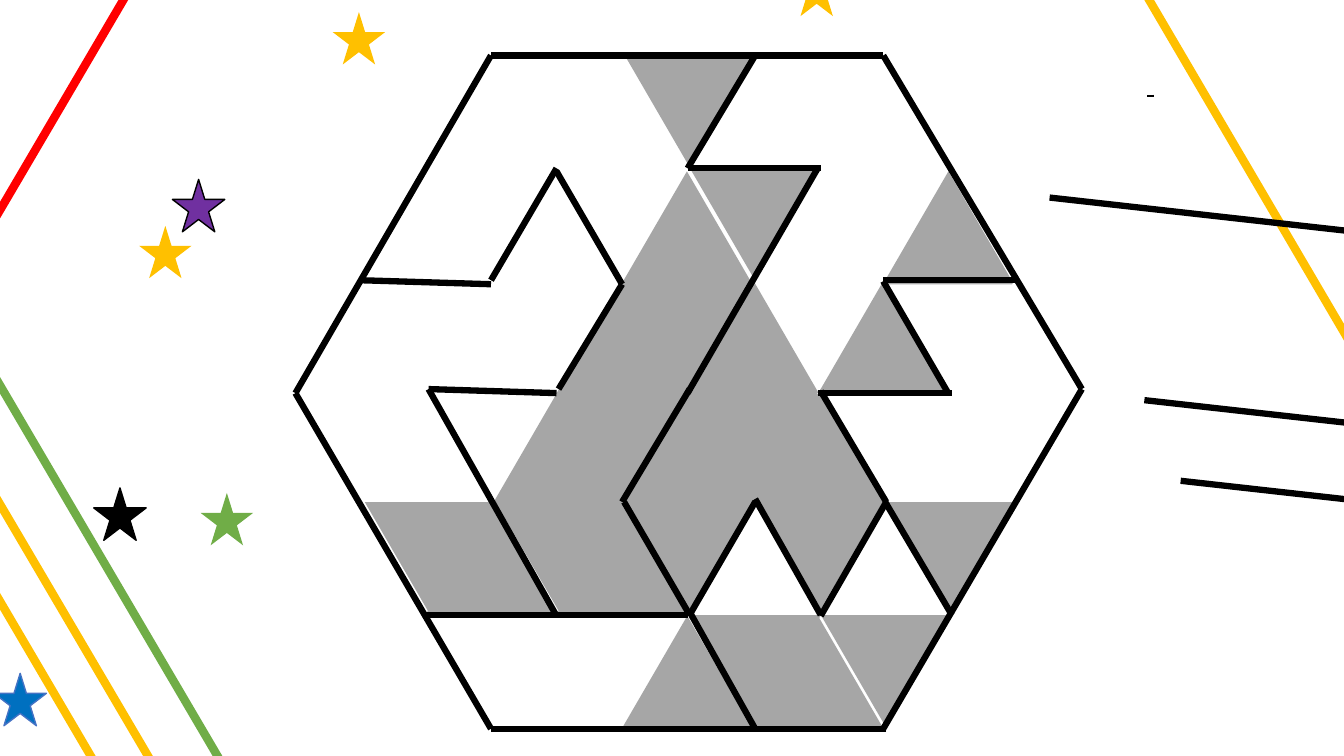
"""Draw a hexagonal triangle puzzle with stars and coloured strokes."""
from lxml.etree import SubElement
from pptx import Presentation
from pptx.dml.color import RGBColor
from pptx.enum.shapes import MSO_CONNECTOR, MSO_SHAPE
from pptx.oxml.ns import qn
from pptx.util import Inches, Pt

COLORS = {
    "black": "000000", "white": "FFFFFF", "gray": "A6A6A6", "gold": "FFC000",
    "green": "70AD47", "blue": "0070C0", "outline_blue": "4472C4",
    "red": "FF0000", "purple": "7030A0",
}
TILE_WIDTH, TILE_HEIGHT = 1.3, 1.12
TILE_PITCH = 3.89 / 3
TILE_FILLS = {"W": "white", "G": "gray"}
STAR_SIZE = 0.52

DOWN_ROWS = [
    (4.25, 6.1, "WWGG"), (3.6, 4.95, "GGGGG"), (2.95, 3.88, "WWGGWW"),
    (3.57, 2.79, "WWGWW"), (4.25, 1.67, "WWGW"), (4.9, 0.55, "WGW"),
]
UP_ROWS = [
    (4.22, 0.55, "WWWW"), (3.57, 1.7, "WWGWG"), (2.93, 2.78, "WWGGGW"),
    (3.6, 3.86, "WGGGW"), (4.22, 4.98, "GGWW"), (4.87, 6.11, "WGG"),
]
STARS = [
    (0.93, 4.84, "black", "black"), (1.99, 4.89, "green", None),
    (-0.06, 6.68, "blue", "outline_blue"), (1.71, 1.78, "purple", "black"),
    (7.84, -0.36, "gold", None), (3.3, 0.12, "gold", None),
    (1.38, 2.24, "gold", None),
]
DIAGONALS = [
    ("gold", (9.71, -2.88), (16.14, 8.09)),
    ("gold", (-2.96, 0.92), (3.47, 11.88)),
    ("red", (2.93, -2.91), (-1.74, 5.05)),
    ("green", (-2.19, 0.09), (4.24, 11.05)),
    ("gold", (-2.24, 1.19), (4.2, 12.15)),
]
HEXAGON = [
    [(10.73, 3.86), (8.76, 0.55), (4.87, 0.55), (2.93, 3.9), (4.87, 7.23)],
    [(8.79, 7.23), (4.87, 7.23)],
    [(10.73, 3.86), (8.76, 7.23)],
]
PIECE_EDGES = [
    [(3.57, 2.78), (4.87, 2.82)],
    [(4.87, 2.78), (5.52, 1.67)],
    [(5.52, 1.7), (6.17, 2.82), (5.54, 3.86)],
    [(5.52, 3.9), (4.25, 3.86), (5.52, 6.11)],
    [(4.22, 6.1), (5.54, 6.1), (6.82, 6.1)],
    [(7.49, 0.55), (6.82, 1.67), (8.14, 1.67)],
    [(8.11, 1.67), (6.82, 3.9)],
    [(6.84, 3.86), (6.17, 4.98)],
    [(6.19, 4.98), (6.84, 6.1), (7.49, 4.98)],
    [(6.84, 6.07), (7.49, 7.23)],
    [(7.49, 4.95), (8.14, 6.1)],
    [(8.14, 6.11), (8.79, 4.98), (8.14, 3.88)],
    [(8.78, 4.98), (9.44, 6.1)],
    [(8.11, 3.9), (9.44, 3.9)],
    [(9.41, 3.91), (8.76, 2.79)],
    [(8.76, 2.78), (10.09, 2.78)],
]
DASH = [(11.41, 0.94), (11.41, 0.96)]
SIDE_STROKES = [(10.41, 1.96), (11.35, 3.97), (11.71, 4.77)]


class PuzzleSlide:
    """Hold the colours and the slide being drawn."""

    def __init__(self, slide, colors):
        self.slide = slide
        self.colors = {name: RGBColor.from_string(value) for name, value in colors.items()}

    def shape(self, parent, kind, box, fill, outline=None, rotation=0):
        """Add a filled preset shape."""
        shape = parent.shapes.add_shape(kind, *map(Inches, box))
        shape.rotation = rotation
        shape.shadow.inherit = False
        shape.fill.solid()
        shape.fill.fore_color.rgb = self.colors[fill]
        if outline:
            shape.line.color.rgb = self.colors[outline]
            shape.line.width = Pt(1)
        else:
            shape.line.fill.background()

    def tiles(self, group, rows, rotation):
        """Add rows of equally spaced triangles."""
        for left, top, pattern in rows:
            for column, letter in enumerate(pattern):
                box = (left + column * TILE_PITCH, top, TILE_WIDTH, TILE_HEIGHT)
                self.shape(group, MSO_SHAPE.ISOSCELES_TRIANGLE, box,
                           TILE_FILLS[letter], rotation=rotation)

    def star(self, left, top, fill, outline):
        """Add a five-pointed star."""
        box = (left, top, STAR_SIZE, STAR_SIZE)
        self.shape(self.slide, MSO_SHAPE.STAR_5_POINT, box, fill, outline)

    def stroke(self, points, color="black", width=4.5):
        """Join successive points with straight lines."""
        for start, end in zip(points, points[1:]):
            connector = self.slide.shapes.add_connector(
                MSO_CONNECTOR.STRAIGHT, *map(Inches, start + end))
            connector.line.color.rgb = self.colors[color]
            connector.line.width = Pt(width)
            SubElement(connector._element.spPr, qn("a:effectLst"))


def main():
    """Build and save the slide."""
    presentation = Presentation()
    page = {"slide_width": Inches(13.33), "slide_height": Inches(7.5)}
    for name, value in page.items():
        setattr(presentation, name, value)
    slide = presentation.slides.add_slide(presentation.slide_layouts[6])
    puzzle = PuzzleSlide(slide, COLORS)

    board = slide.shapes.add_group_shape()
    puzzle.tiles(board, DOWN_ROWS, 180)
    puzzle.tiles(board, UP_ROWS, 0)
    for color, start, end in DIAGONALS:
        puzzle.stroke([start, end], color, 6)
    for star in STARS:
        puzzle.star(*star)
    for points in HEXAGON + PIECE_EDGES + [DASH]:
        puzzle.stroke(points)
    for left, top in SIDE_STROKES:
        puzzle.stroke([(left + 3.49, top + 0.39), (left, top)])

    presentation.save("out.pptx")


if __name__ == "__main__":
    main()
